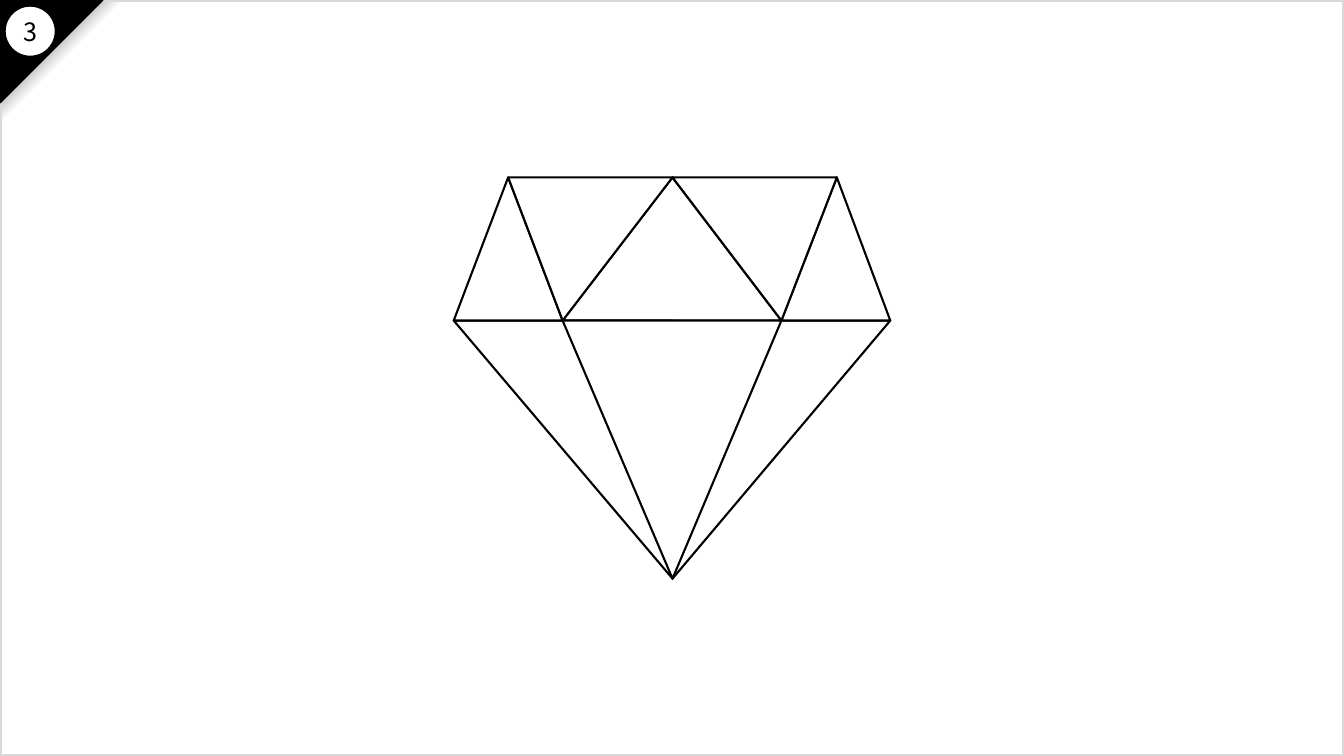
"""Draw a faceted diamond on a slide with a numbered corner."""
from dataclasses import dataclass

from lxml import etree
from pptx import Presentation
from pptx.dml.color import RGBColor
from pptx.enum.shapes import MSO_SHAPE
from pptx.enum.text import MSO_AUTO_SIZE, PP_ALIGN
from pptx.oxml.ns import qn
from pptx.shapes.autoshape import Shape
from pptx.slide import Slide
from pptx.util import Inches, Pt

TRIANGLE = MSO_SHAPE.ISOSCELES_TRIANGLE
CORNER = MSO_SHAPE.RIGHT_TRIANGLE
RECTANGLE = MSO_SHAPE.RECTANGLE
OVAL = MSO_SHAPE.OVAL
CENTER = PP_ALIGN.CENTER
FIT_SHAPE = MSO_AUTO_SIZE.SHAPE_TO_FIT_TEXT


@dataclass(frozen=True)
class Theme:
    ink: str = "000000"
    paper: str = "FFFFFF"
    border: str = "D9D9D9"
    shade: tuple = ((0, "FFFFFF"), (50, "FFFFFF"), (70, "808080"), (100, "000000"))
    font: str = "Noto Sans CJK JP"
    number_size: float = 18
    border_width: float = 3
    corner_width: float = 1
    facet_width: float = 1.5


@dataclass(frozen=True)
class Box:
    left: float
    top: float
    width: float
    height: float

    def lengths(self) -> tuple:
        return tuple(Inches(v) for v in (self.left, self.top, self.width, self.height))


@dataclass(frozen=True)
class Facet:
    left: float
    right: float
    tip: float
    base: float
    tip_level: float


THEME = Theme()
PAGE = Box(0, 0, 13.33, 7.5)

TABLE, GIRDLE, CULET = 1.76, 3.18, 5.74
MIDDLE = 6.67
GIRDLE_LEFT, INNER_LEFT, INNER_RIGHT, GIRDLE_RIGHT = 4.5, 5.58, 7.75, 8.83
TABLE_LEFT, TABLE_RIGHT = 5.04, 8.3

FACETS = (
    Facet(MIDDLE, GIRDLE_RIGHT, MIDDLE, GIRDLE, CULET),
    Facet(INNER_LEFT, INNER_RIGHT, MIDDLE, GIRDLE, TABLE),
    Facet(GIRDLE_LEFT, MIDDLE, MIDDLE, GIRDLE, CULET),
    Facet(INNER_LEFT, INNER_RIGHT, MIDDLE, GIRDLE, CULET),
    Facet(GIRDLE_LEFT, INNER_LEFT, TABLE_LEFT, GIRDLE, TABLE),
    Facet(INNER_RIGHT, GIRDLE_RIGHT, TABLE_RIGHT, GIRDLE, TABLE),
    Facet(TABLE_LEFT, MIDDLE, INNER_LEFT, TABLE, GIRDLE),
    Facet(MIDDLE, TABLE_RIGHT, INNER_RIGHT, TABLE, GIRDLE),
)


def add_figure(slide: Slide, kind: MSO_SHAPE, box: Box, fill: str | None = None,
               line: str | None = None, width: float = 1, rotation: float = 0) -> Shape:
    figure = slide.shapes.add_shape(kind, *box.lengths())
    figure.shadow.inherit = False
    figure.rotation = rotation
    if fill:
        figure.fill.solid()
        figure.fill.fore_color.rgb = RGBColor.from_string(fill)
    else:
        figure.fill.background()
    if line:
        figure.line.color.rgb = RGBColor.from_string(line)
        figure.line.width = Pt(width)
    else:
        figure.line.fill.background()
    return figure


def shade_fold(fold: Shape) -> None:
    fold.fill.gradient()
    fold.fill.gradient_angle = 225
    stops = next(fold._element.spPr.iter(qn("a:gsLst")))
    for stop in list(stops):
        stops.remove(stop)
    for percent, color in THEME.shade:
        stop = etree.SubElement(stops, qn("a:gs"), pos=str(percent * 1000))
        etree.SubElement(stop, qn("a:srgbClr"), val=color)


def add_corner(slide: Slide) -> None:
    shade_fold(add_figure(slide, CORNER, Box(0, 0, 1.23, 1.23), rotation=90))
    add_figure(slide, RECTANGLE, PAGE, line=THEME.border, width=THEME.border_width)
    add_figure(slide, CORNER, Box(0, 0, 1.02, 1.02), THEME.ink, THEME.ink,
               THEME.corner_width, rotation=90)
    add_figure(slide, OVAL, Box(0.05, 0.06, 0.5, 0.5), THEME.paper, THEME.ink,
               THEME.corner_width)


def add_facet(slide: Slide, facet: Facet) -> None:
    points_down = facet.tip_level > facet.base
    span = facet.right - facet.left
    box = Box(facet.left, min(facet.base, facet.tip_level), span,
              abs(facet.tip_level - facet.base))
    triangle = add_figure(slide, TRIANGLE, box, THEME.paper, THEME.ink,
                          THEME.facet_width, rotation=180 if points_down else 0)
    tip_share = (facet.tip - facet.left) / span
    triangle.adjustments[0] = 1 - tip_share if points_down else tip_share


def add_number(slide: Slide, number: str) -> None:
    frame = slide.shapes.add_textbox(*Box(0.12, 0.11, 0.36, 0.4).lengths()).text_frame
    frame.word_wrap = False
    frame.auto_size = FIT_SHAPE
    label = frame.paragraphs[0]
    label.text = number
    label.alignment = CENTER
    label.font.name = THEME.font
    label.font.size = Pt(THEME.number_size)
    label.font.color.rgb = RGBColor.from_string(THEME.ink)


def main() -> None:
    deck = Presentation()
    deck.slide_width = Inches(PAGE.width)
    deck.slide_height = Inches(PAGE.height)
    slide = deck.slides.add_slide(deck.slide_layouts[6])
    add_corner(slide)
    for facet in FACETS:
        add_facet(slide, facet)
    add_number(slide, "3")
    deck.save("out.pptx")


if __name__ == "__main__":
    main()
